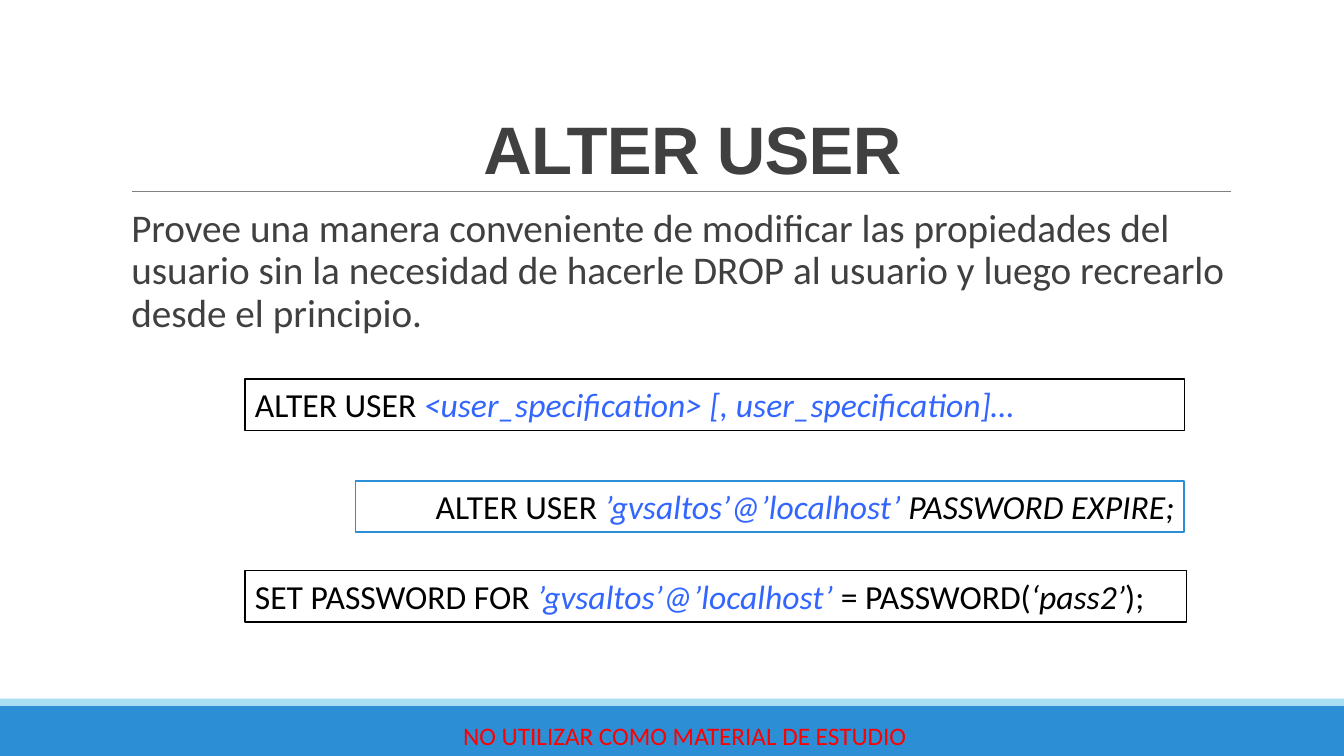
from dataclasses import dataclass

from lxml import etree
from pptx import Presentation
from pptx.dml.color import RGBColor
from pptx.enum import shapes, text
from pptx.oxml.ns import qn
from pptx.util import Pt


@dataclass(frozen=True)
class Theme:
    body_font: str = "Calibri"
    title_font: str = "Arial"
    title_size: float = 48
    body_size: float = 28
    code_size: float = 24
    notice_size: float = 18
    ink: str = "404040"
    black: str = "000000"
    white: str = "FFFFFF"
    argument: str = "3366FF"
    notice: str = "FF0000"
    band: str = "2C8ED5"
    stripe: str = "A8DFF3"
    rule: str = "808080"


THEME = Theme()
PAGE_WIDTH, PAGE_HEIGHT = 960, 540


@dataclass(frozen=True)
class Area:
    left: float
    top: float
    width: float
    height: float

    def lengths(self) -> tuple:
        return Pt(self.left), Pt(self.top), Pt(self.width), Pt(self.height)


@dataclass(frozen=True)
class Span:
    words: str
    color: str = THEME.black
    italic: bool = False


@dataclass(frozen=True)
class Statement:
    """A bordered box that holds one line of SQL."""
    area: Area
    border: str
    border_width: float
    spans: tuple
    fill: str | None = THEME.white
    align: text.PP_ALIGN = text.PP_ALIGN.LEFT


ACCOUNT = Span("’gvsaltos’@’localhost’ ", THEME.argument, True)
STATEMENTS = (
    Statement(
        Area(175, 270.7, 671, 36.7), THEME.black, 1,
        (Span("ALTER USER "),
         Span("<user_specification> [, user_specification]…", THEME.argument, True)),
        fill=None),
    Statement(
        Area(254, 343.4, 592, 36.7), THEME.band, 1.25,
        (Span("ALTER USER "), ACCOUNT, Span("PASSWORD EXPIRE;", italic=True)),
        align=text.PP_ALIGN.RIGHT),
    Statement(
        Area(175, 407.5, 672.5, 36.7), THEME.black, 1.25,
        (Span("SET PASSWORD FOR "), ACCOUNT, Span("= PASSWORD("),
         Span("‘pass2’", italic=True), Span(");"))),
)


def rgb(color: str) -> RGBColor:
    return RGBColor.from_string(color)


def add_span(para, span: Span, size: float, font: str = THEME.body_font):
    run = para.add_run()
    run.text = span.words
    run.font.name = font
    run.font.size = Pt(size)
    run.font.italic = span.italic
    run.font.color.rgb = rgb(span.color)
    return run


def add_rectangle(page, area: Area, fill: str | None):
    """Add a rectangle without shadow or border."""
    box = page.shapes.add_shape(shapes.MSO_SHAPE.RECTANGLE, *area.lengths())
    box.shadow.inherit = False
    box.line.fill.background()
    if fill is None:
        box.fill.background()
    else:
        box.fill.solid()
        box.fill.fore_color.rgb = rgb(fill)
    return box


def add_text(page, area: Area, span: Span, size: float):
    """Add a wrapping text box and return its frame and only paragraph."""
    frame = page.shapes.add_textbox(*area.lengths()).text_frame
    frame.word_wrap = True
    para = frame.paragraphs[0]
    add_span(para, span, size)
    return frame, para


def add_title_rule(page) -> None:
    rule = page.shapes.add_connector(
        shapes.MSO_CONNECTOR.STRAIGHT, Pt(94.3), Pt(136.8), Pt(879.1), Pt(136.8))
    rule.line.color.rgb = rgb(THEME.rule)
    rule.line.width = Pt(0.5)
    etree.SubElement(rule._element.spPr, qn("a:effectLst"))


def add_footer(page) -> None:
    add_rectangle(page, Area(0, 504, PAGE_WIDTH, 36), THEME.band)
    add_rectangle(page, Area(0, 499, PAGE_WIDTH, 5), THEME.stripe)
    frame, para = add_text(
        page, Area(299.5, 511.2, 379.4, 28.8),
        Span("NO UTILIZAR COMO MATERIAL DE ESTUDIO", THEME.notice), THEME.notice_size)
    frame.vertical_anchor = text.MSO_ANCHOR.MIDDLE
    para.alignment = text.PP_ALIGN.CENTER


def fill_title(page) -> None:
    title = page.shapes.title
    title.left, title.top, title.width, title.height = Area(98.6, 34.6, 792, 103.7).lengths()
    frame = title.text_frame
    frame.auto_size = text.MSO_AUTO_SIZE.NONE
    frame.vertical_anchor = text.MSO_ANCHOR.BOTTOM
    para = frame.paragraphs[0]
    para.alignment = text.PP_ALIGN.CENTER
    para.line_spacing = 0.85
    run = add_span(para, Span("ALTER USER", THEME.ink), THEME.title_size, THEME.title_font)
    run.font.bold = True
    run._r.get_or_add_rPr().set("spc", "-50")


def add_description(page) -> None:
    frame, para = add_text(
        page, Area(93.8, 145.4, 784.8, 110),
        Span("Provee una manera conveniente de modificar las propiedades del usuario "
             "sin la necesidad de hacerle DROP al usuario y luego recrearlo desde el "
             "principio.", THEME.ink), THEME.body_size)
    frame.margin_left = frame.margin_right = 0
    para.line_spacing = 0.9


def add_statement(page, statement: Statement) -> None:
    box = add_rectangle(page, statement.area, statement.fill)
    box.line.color.rgb = rgb(statement.border)
    box.line.width = Pt(statement.border_width)
    frame = box.text_frame
    frame.word_wrap = True
    frame.vertical_anchor = text.MSO_ANCHOR.TOP
    para = frame.paragraphs[0]
    para.alignment = statement.align
    for span in statement.spans:
        add_span(para, span, THEME.code_size)


def main() -> None:
    deck = Presentation()
    deck.slide_width, deck.slide_height = Pt(PAGE_WIDTH), Pt(PAGE_HEIGHT)
    page = deck.slides.add_slide(deck.slide_layouts.get_by_name("Title Only"))
    add_footer(page)
    add_title_rule(page)
    fill_title(page)
    add_description(page)
    for statement in STATEMENTS:
        add_statement(page, statement)
    deck.save("out.pptx")


if __name__ == "__main__":
    main()
